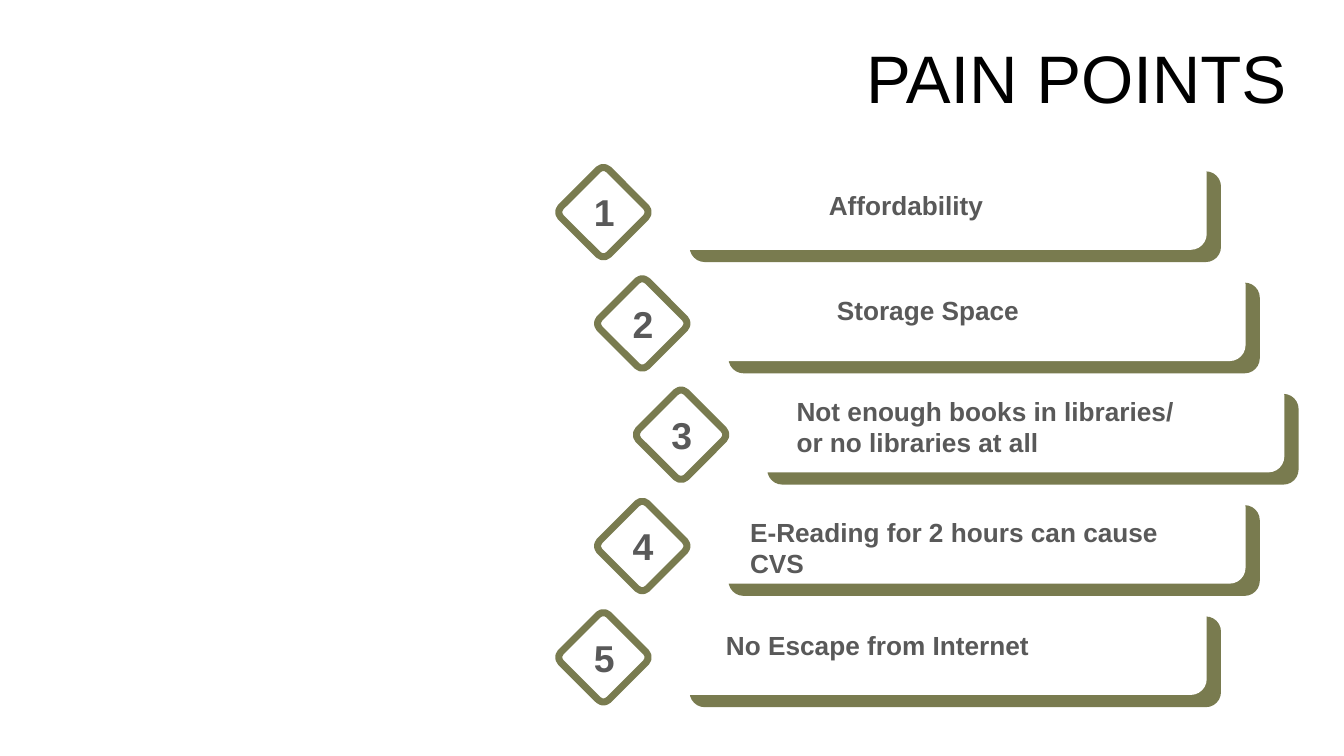
from pptx import Presentation
from pptx.dml.color import RGBColor
from pptx.enum.shapes import MSO_SHAPE
from pptx.enum.text import MSO_ANCHOR, PP_ALIGN
from pptx.util import Inches, Pt

OLIVE = RGBColor(0x79, 0x7B, 0x4F)
WHITE = RGBColor(0xFF, 0xFF, 0xFF)
GRAY = RGBColor(0x59, 0x59, 0x59)
BLACK = RGBColor(0, 0, 0)

# Content: label lines and the label box (left, top, width, height)
TITLE = "PAIN POINTS"
POINTS = [
    ("Affordability", (8.09, 1.81, 4.41, 0.55)),
    ("Storage Space", (8.17, 2.85, 4.41, 0.45)),
    ("Not enough books in libraries/\nor no libraries at all",
     (7.77, 3.85, 4.41, 0.83)),
    ("E-Reading for 2 hours can cause CVS", (7.31, 5.05, 4.64, 0.69)),
    ("No Escape from Internet", (7.07, 6.17, 4.41, 0.63)),
]

# Layout: rows step down evenly and bulge right towards the middle one
LEFT, TOP = 5.65, 1.57
SHIFT, STEP = 0.385, 1.104
MIDDLE = len(POINTS) // 2


def place(box):
    return [Inches(length) for length in box]


def set_text(frame, text, size, color, bold=False, align=PP_ALIGN.LEFT):
    frame.word_wrap = True
    frame.margin_left = frame.margin_right = Inches(0.13)
    frame.margin_top = frame.margin_bottom = Inches(0.07)
    frame.text = text
    for para in frame.paragraphs:
        para.alignment = align
        font = para.font
        font.name, font.size, font.bold = "Arial", Pt(size), bold
        font.color.rgb = color


def add_box(group, box, round_by, fill, line=None, width=0):
    shape = group.shapes.add_shape(MSO_SHAPE.ROUNDED_RECTANGLE, *place(box))
    shape.adjustments[0] = round_by
    shape.shadow.inherit = False
    shape.fill.solid()
    shape.fill.fore_color.rgb = fill
    if line is None:
        shape.line.fill.background()
    else:
        shape.line.color.rgb = line
        shape.line.width = Pt(width)
    return shape


def add_label(group, box, text, size, align=PP_ALIGN.LEFT):
    label = group.shapes.add_textbox(*place(box))
    set_text(label.text_frame, text, size, GRAY, True, align)


deck = Presentation()
deck.slide_width, deck.slide_height = Inches(13.33), Inches(7.5)
slide = deck.slides.add_slide(deck.slide_layouts[5])

# Title
title = slide.shapes.title
title.left, title.top, title.width, title.height = place((8.46, 0.34, 4.76, 0.84))
set_text(title.text_frame, TITLE, 48, BLACK)
title.text_frame.vertical_anchor = MSO_ANCHOR.MIDDLE

# One group per point: olive edge, white card, label, numbered diamond
for row, (text, box) in enumerate(POINTS):
    x = LEFT + SHIFT * (MIDDLE - abs(row - MIDDLE))
    y = TOP + STEP * row
    group = slide.shapes.add_group_shape()
    add_box(group, (x + 1.19, y + 0.13, 5.27, 0.9), 0.167, OLIVE)
    add_box(group, (x + 1.04, y, 5.27, 0.9), 0.167, WHITE, WHITE, 1.25)
    add_label(group, box, text, 18.7)
    diamond = add_box(group, (x, y + 0.2, 0.67, 0.67), 0.107, WHITE, OLIVE, 5)
    diamond.rotation = 45
    add_label(group, (x + 0.11, y + 0.24, 0.44, 0.58), str(row + 1), 26.7,
              PP_ALIGN.CENTER)

deck.save("out.pptx")
